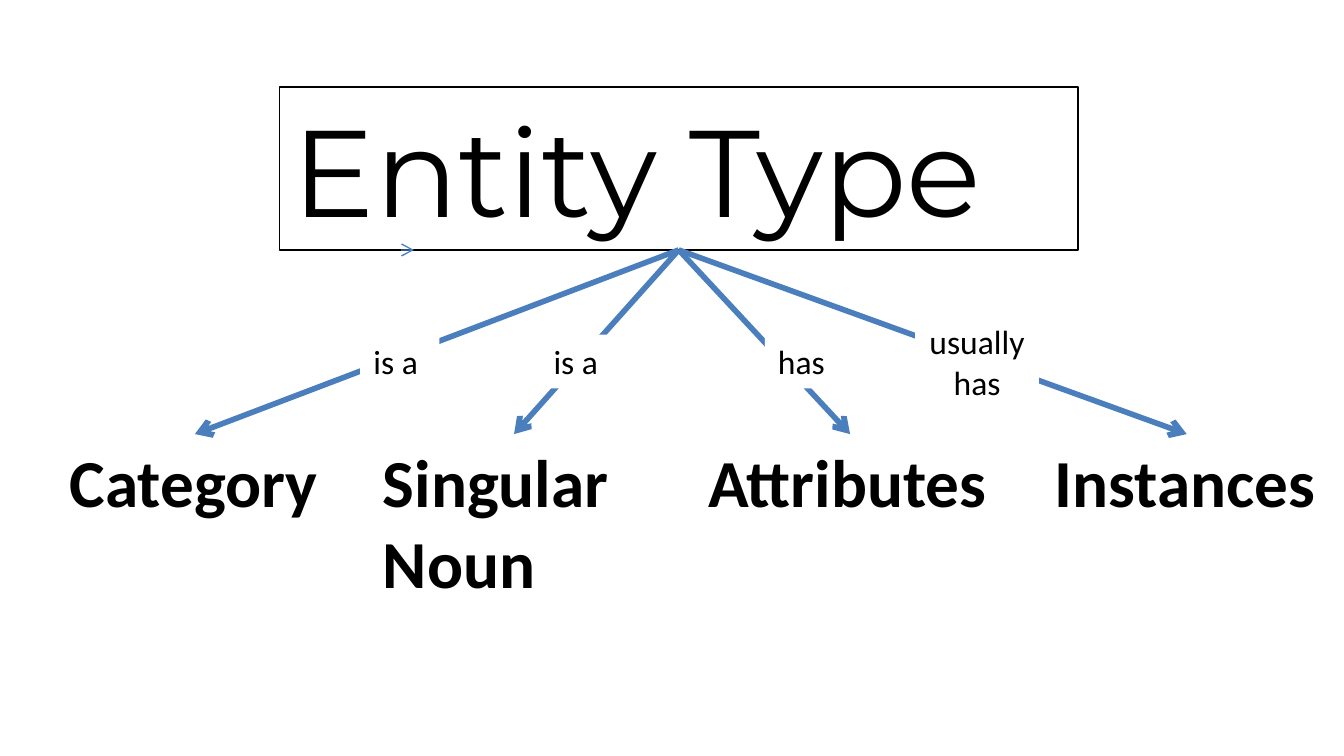
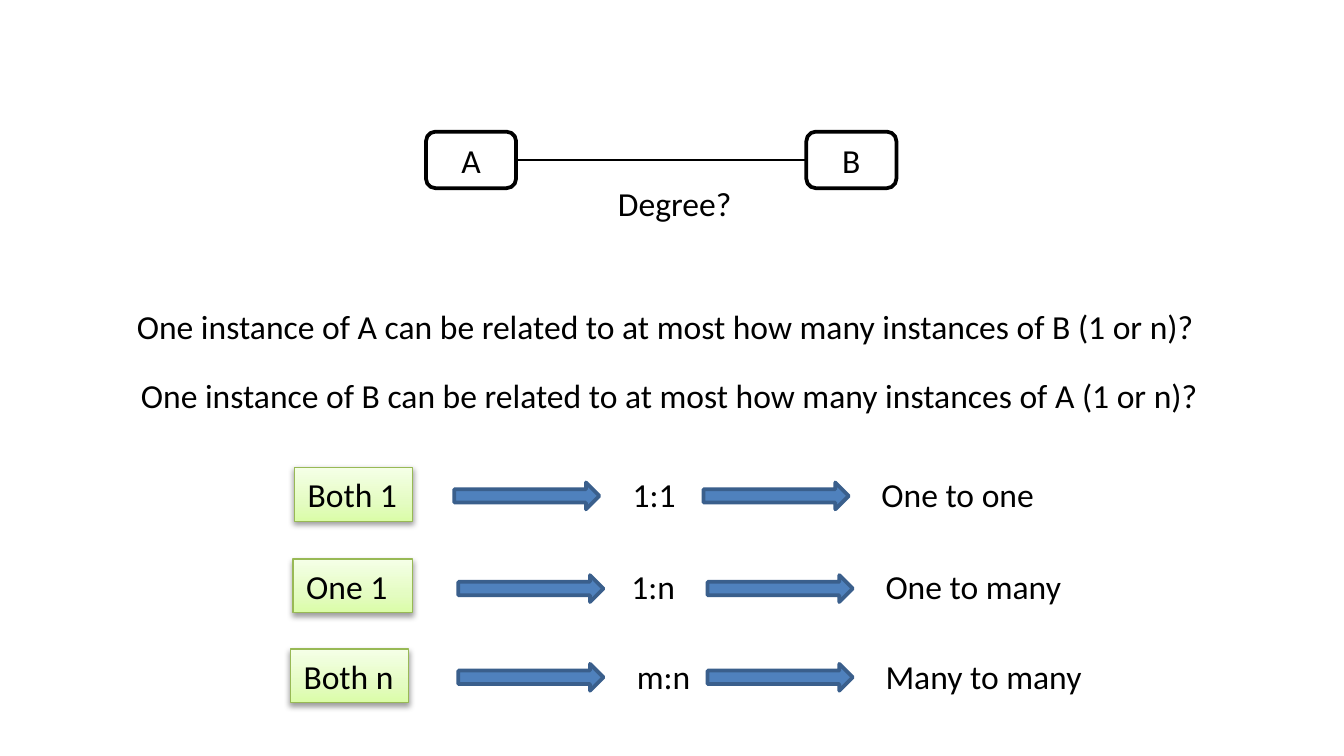
from dataclasses import dataclass
from typing import Any, Optional

import pptx
import pptx.dml.color
import pptx.enum.shapes
import pptx.enum.text
import pptx.oxml
import pptx.oxml.ns
import pptx.shapes.autoshape
import pptx.shapes.base
import pptx.shapes.connector
import pptx.slide
import pptx.util

Shape = pptx.shapes.autoshape.Shape
Line = pptx.shapes.connector.Connector
Slide = pptx.slide.Slide
KIND = pptx.enum.shapes.MSO_SHAPE
FIT = pptx.enum.text.MSO_AUTO_SIZE
EDGE = pptx.enum.text.MSO_ANCHOR
ALIGN = pptx.enum.text.PP_ALIGN
STRAIGHT = pptx.enum.shapes.MSO_CONNECTOR.STRAIGHT

COLS, ROWS = 100, 56.25
CELL = pptx.util.Inches(10 / COLS)
BLACK, WHITE = "000000", "FFFFFF"
BLUE, STEEL, NAVY, GREEN = "4B7EBC", "4F81BD", "3A5F8C", "98B955"
STOPS = ((0, "DAFDA7"), (35, "E4FCC2"), (100, "F5FFE7"))
TOP, LEFT, BOTTOM, RIGHT = range(4)
HIGH = 4


@dataclass
class Box:
    x: float
    y: float
    wide: float
    high: float
    text: str = ""
    size: float = 18
    bold: bool = False
    face: str = "Calibri"
    wrap: bool = False
    fit: Any = FIT.SHAPE_TO_FIT_TEXT
    edge: Any = EDGE.TOP
    align: Any = ALIGN.LEFT
    kind: Any = None
    fill: Optional[str] = None
    line: Optional[str] = None
    width: float = 0.75


@dataclass
class Row:
    y: float
    test: str
    test_x: float
    test_w: float
    code: str
    code_x: float
    code_w: float
    name: str
    name_w: float
    shift: float
    drop: float


def grid(count: float) -> int:
    return round(count * CELL)


def color(code: str) -> pptx.dml.color.RGBColor:
    return pptx.dml.color.RGBColor.from_string(code)


def xml(body: str) -> Any:
    head, rest = body.split(">", 1)
    return pptx.oxml.parse_xml(f"{head} {pptx.oxml.ns.nsdecls('a')}>{rest}")


def apply(thing: Any, form: dict[str, Any]) -> None:
    for key, value in form.items():
        setattr(thing, key, value)


def write(shape: Shape, box: Box) -> None:
    frame = shape.text_frame
    frame.text = box.text
    apply(frame, {"word_wrap": box.wrap, "auto_size": box.fit,
                  "vertical_anchor": box.edge})
    for para in frame.paragraphs:
        para.alignment = box.align
        apply(para.font, {"name": box.face, "size": pptx.util.Pt(box.size),
                          "bold": box.bold})
        para.font.color.rgb = color(BLACK)


def paint(shape: Shape, box: Box) -> None:
    if box.fill:
        shape.fill.solid()
        shape.fill.fore_color.rgb = color(box.fill)
    else:
        shape.fill.background()
    if box.line:
        shape.line.color.rgb = color(box.line)
        shape.line.width = pptx.util.Pt(box.width)
    else:
        shape.line.fill.background()


def draw(slide: Slide, box: Box) -> Shape:
    place = [grid(n) for n in (box.x, box.y, box.wide, box.high)]
    if box.kind is None:
        shape = slide.shapes.add_textbox(*place)
    else:
        shape = slide.shapes.add_shape(box.kind, *place)
        shape.shadow.inherit = False
        paint(shape, box)
    if box.text:
        write(shape, box)
    return shape


def head(slide: Slide, box: Box) -> Shape:
    title = slide.shapes.title
    names = ("left", "top", "width", "height")
    place = (box.x, box.y, box.wide, box.high)
    apply(title, dict(zip(names, map(grid, place))))
    paint(title, box)
    write(title, box)
    return title


def glow(shape: Shape) -> None:
    stops = "".join(f'<a:gs pos="{at * 1000}"><a:srgbClr val="{code}"/></a:gs>'
                    for at, code in STOPS)
    props = shape._element.spPr
    props.find(pptx.oxml.ns.qn("a:noFill")).addnext(xml(
        f'<a:gradFill rotWithShape="1"><a:gsLst>{stops}</a:gsLst>'
        '<a:lin ang="16200000" scaled="0"/></a:gradFill>'))
    props.remove(props.find(pptx.oxml.ns.qn("a:noFill")))
    props.find(pptx.oxml.ns.qn("a:effectLst")).append(xml(
        '<a:outerShdw blurRad="40000" dist="20000" dir="5400000" rotWithShape="0">'
        f'<a:srgbClr val="{BLACK}"><a:alpha val="38000"/></a:srgbClr>'
        '</a:outerShdw>'))


def link(slide: Slide, ends: tuple[float, float, float, float], code: str,
         width: float, arrow: bool) -> Line:
    line = slide.shapes.add_connector(STRAIGHT, *map(grid, ends))
    line.line.color.rgb = color(code)
    line.line.width = pptx.util.Pt(width)
    if arrow:
        line.line._get_or_add_ln().append(xml('<a:tailEnd type="arrow"></a:tailEnd>'))
    line._element.spPr.append(xml("<a:effectLst></a:effectLst>"))
    return line


def join(slide: Slide, start: Shape, side: int, stop: Shape, goal: int,
         code: str, width: float, arrow: bool) -> None:
    line = link(slide, (0, 0, 1, 1), code, width, arrow)
    line.begin_connect(start, side)
    line.end_connect(stop, goal)


def map_type(slide: Slide) -> None:
    root = head(slide, Box(20.8, 6.5, 59.4, 12.1, "Entity Type", 66,
                           face="Montserrat", wrap=True, fit=FIT.NONE,
                           line=BLACK, width=1))
    traits = [
        Box(4.2, 32.3, 20.6, 7.1, "Category", 36, True),
        Box(27.5, 32.3, 21.5, 13.1, "Singular Noun", 36, True, wrap=True),
        Box(51.7, 32.3, 23.1, 7.1, "Attributes", 36, True),
        Box(77.5, 32.3, 21.6, 7.1, "Instances", 36, True),
    ]
    leaves = [draw(slide, trait) for trait in traits]
    link(slide, (30, 18.6, 30.8, 18.6), BLUE, 0.75, True)
    for leaf in leaves:
        join(slide, root, BOTTOM, leaf, TOP, BLUE, 3, True)
    look = {"kind": KIND.RECTANGLE, "fill": WHITE}
    for x, wide, text in ((26.8, 5.9, "is a"), (40.2, 5.9, "is a"),
                          (56.9, 5.5, "has")):
        draw(slide, Box(x, 24.9, wide, HIGH, text, **look))
    draw(slide, Box(68.1, 23.4, 9.2, 7.1, "usually\nhas",
                    align=ALIGN.CENTER, **look))


def map_degree(slide: Slide) -> None:
    first, last = [
        draw(slide, Box(x, 9.8, 6.7, 4.2, text, wrap=True, fit=FIT.NONE,
                        edge=EDGE.MIDDLE, align=ALIGN.CENTER,
                        kind=KIND.ROUNDED_RECTANGLE, line=BLACK, width=2))
        for x, text in ((31.7, "A"), (60, "B"))]
    join(slide, first, RIGHT, last, LEFT, BLACK, 0.75, False)
    draw(slide, Box(45, 13.1, 10.6, HIGH, "Degree?"))
    for x, y, one, many in ((9.2, 22.3, "A", "B"), (9.5, 27.4, "B", "A")):
        draw(slide, Box(x, y, 80.9, HIGH, f"One instance of {one} can be related "
                        f"to at most how many instances of {many} (1 or n)?"))
    rows = [
        Row(34.8, "Both 1", 21.9, 8.8, "1:1", 46.1, 5.3, "One to one", 14.1, 0, 1.1),
        Row(41.6, "One 1", 21.8, 8.9, "1:n", 46, 5.3, "One to many", 15.2, 0.3, 1.2),
        Row(48.3, "Both n", 21.6, 8.8, "m:n", 46.4, 6.1, "Many to many", 16.8, 0.3, 1.1),
    ]
    for row in rows:
        glow(draw(slide, Box(row.test_x, row.y, row.test_w, HIGH, row.test,
                             wrap=row.test == "One 1", kind=KIND.RECTANGLE,
                             line=GREEN)))
        draw(slide, Box(row.code_x, row.y, row.code_w, HIGH, row.code))
        draw(slide, Box(64.6 + row.shift, row.y, row.name_w, HIGH, row.name))
        for x in (33.8, 52.35):
            draw(slide, Box(x + row.shift, row.y + row.drop, 10.8, 2,
                            kind=KIND.RIGHT_ARROW, fill=STEEL, line=NAVY, width=2))


def main() -> None:
    deck = pptx.Presentation()
    apply(deck, {"slide_width": grid(COLS), "slide_height": grid(ROWS)})
    for layout, build in ((5, map_type), (6, map_degree)):
        build(deck.slides.add_slide(deck.slide_layouts[layout]))
    deck.save("out.pptx")


if __name__ == "__main__":
    main()
